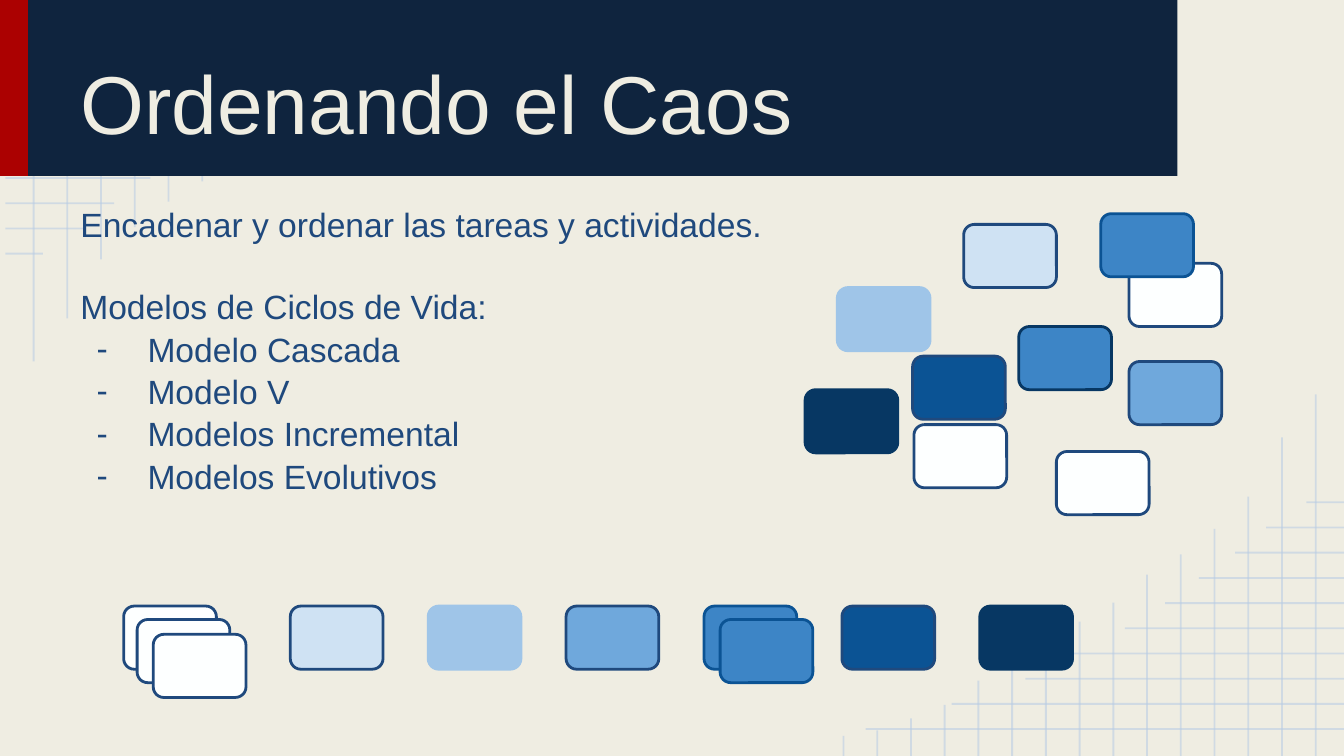
from pptx import Presentation
from pptx.util import Inches, Pt
from pptx.dml.color import RGBColor
from pptx.enum.shapes import MSO_SHAPE as Shape, MSO_CONNECTOR as Link
from pptx.enum.text import MSO_ANCHOR as Anchor
from pptx.oxml.ns import qn
from lxml.etree import SubElement as sub

NAVY, CREAM, RED, BLUE = "0F243E", "EFEDE2", "AB0101", "1F497D"
WIDE = 10
HIGH = WIDE * 9 / 16

# shade: fill and outline
CARDS = {
    "white": ("FDFFFF", BLUE),
    "pale": ("CFE2F3", BLUE),
    "light": ("9FC5E8", "9FC5E8"),
    "sky": ("6FA8DC", BLUE),
    "mid": ("3D85C6", "0B5394"),
    "edged": ("3D85C6", "073763"),
    "deep": ("0B5394", BLUE),
    "dark": ("073763", "073763"),
}
CHAOS = [
    ("light", 0.24, 0.55), ("edged", 1.59, 0.84), ("dark", 0, 1.31),
    ("white", 1.87, 1.77), ("white", 2.41, 0.37), ("white", 0.81, 1.57),
    ("pale", 1.18, 0.08), ("deep", 0.8, 1.06), ("sky", 2.41, 1.1),
    ("mid", 2.2, 0),
]
ORDER = ["pale", "light", "sky", "mid", "deep", "dark"]
ROWS = [3.56, 2.92, 2.37, 2.03, 1.63, 1.33, 1.08, 0.81, 0.58, 0.28]
COLS = [2.69, 2.37, 1.93, 1.69, 1.5, 1.35, 1.14, 1, 0.84, 0.72,
        0.56, 0.38, 0.28, 0.19, 0.15]


def paint(fmt, color):
    """Give a fill or font colour from a hex string."""
    if hasattr(fmt, "solid"):
        fmt.solid()
        fmt = fmt.fore_color
    else:
        fmt = fmt.color
    fmt.rgb = RGBColor.from_string(color)


def block(slide, kind, x, y, w, h, fill, edge=None):
    """Add a filled shape, outlined if an edge colour is given."""
    item = slide.shapes.add_shape(kind, *map(Inches, (x, y, w, h)))
    item.shadow.inherit = False
    paint(item.fill, fill)
    if edge:
        paint(item.line.fill, edge)
        item.line.width = Pt(1.5)
    else:
        item.line.fill.background()


def stroke(slide, *ends):
    """Draw one faint grid line."""
    line = slide.shapes.add_connector(Link.STRAIGHT, *map(Inches, ends))
    line.line.width = Pt(1)
    paint(line.line.fill, "B7CCE4")
    props = line._element.spPr
    sub(props.find(".//" + qn("a:srgbClr")), qn("a:alpha"), val="54000")
    sub(props, qn("a:effectLst"))


def hatch(slide, x, y, way, rows, cols):
    """Draw grid lines out of a corner; way is 1 or -1, in both axes."""
    for i in rows:
        level = y + way * (0.2 + 0.1875 * i)
        stroke(slide, x, level, x + way * ROWS[i], level)
    for i in cols:
        side = x + way * (0.21 + 0.251 * i)
        stroke(slide, side, y + way * COLS[i], side, y)


def header(slide, x, y, w, h):
    """Draw the red edge and the navy band."""
    edge = 0.21
    block(slide, Shape.RECTANGLE, x, y, edge, h, RED)
    block(slide, Shape.RECTANGLE, x + edge, y, w - edge, h, NAVY)


def words(slide, box, lines, size, color, anchor=Anchor.TOP):
    """Add a text box and return its paragraphs."""
    frame = slide.shapes.add_textbox(*map(Inches, box)).text_frame
    look = {"word_wrap": True, "vertical_anchor": anchor}
    for side in ("left", "right", "top", "bottom"):
        look["margin_" + side] = Inches(0.1)
    for name, value in look.items():
        setattr(frame, name, value)
    frame.text = "\n".join(lines)
    for para in frame.paragraphs:
        for name, value in {"name": "Arial", "size": Pt(size)}.items():
            setattr(para.runs[0].font, name, value)
        paint(para.runs[0].font, color)
    return frame.paragraphs


def dash(para):
    """Turn a paragraph into a dash item."""
    props = para._p.get_or_add_pPr()
    props.set("marL", str(Inches(0.5)))
    props.set("indent", str(Inches(-0.38)))
    sub(props, qn("a:buFont"), typeface="Arial")
    sub(props, qn("a:buChar"), char="-")


def body(slide, *box):
    """Write the intro and the list of models."""
    lines = ["Encadenar y ordenar las tareas y actividades.",
             "Modelos de Ciclos de Vida:", "Modelo Cascada", "Modelo V",
             "Modelos Incremental", "Modelos Evolutivos"]
    paras = words(slide, box, lines, 18, BLUE)
    for para in paras:
        para.line_spacing = 1.05
    paras[1].space_before = Pt(21.6)
    for para in paras[2:]:
        dash(para)


def card(slide, shade, x, y):
    """Add one rounded card."""
    block(slide, Shape.ROUNDED_RECTANGLE, x, y, 0.69, 0.47, *CARDS[shade])


def chaos(slide, x, y):
    """Scatter the cards."""
    for shade, dx, dy in CHAOS:
        card(slide, shade, x + dx, y + dy)


def order(slide, x, y):
    """Line the cards up by shade, with the doubles stacked."""
    for dx, dy in [(0, 0), (0.1, 0.1), (0.22, 0.21)]:
        card(slide, "white", x + dx, y + dy)
    for i, shade in enumerate(ORDER):
        left = x + 1.24 + 1.026 * i
        card(slide, shade, left, y)
        if shade == "mid":
            card(slide, shade, left + 0.12, y + 0.1)


def build():
    """Make the slide and save it."""
    deck = Presentation()
    deck.slide_width, deck.slide_height = Inches(WIDE), Inches(HIGH)
    slide = deck.slides.add_slide(deck.slide_layouts[6])
    paint(slide.background.fill, CREAM)
    hatch(slide, 0.04, 0, 1, range(6, len(ROWS)), range(6))
    hatch(slide, WIDE, HIGH, -1, range(len(ROWS)), range(len(COLS)))
    header(slide, 0, 0, 8.76, 1.31)
    words(slide, (0.5, 0.11, 8, 1.11), ["Ordenando el Caos"], 44, CREAM,
          Anchor.BOTTOM)
    body(slide, 0.5, 1.4, 9, 2.32)
    chaos(slide, 5.99, 1.59)
    order(slide, 0.92, 4.51)
    deck.save("out.pptx")


build()
